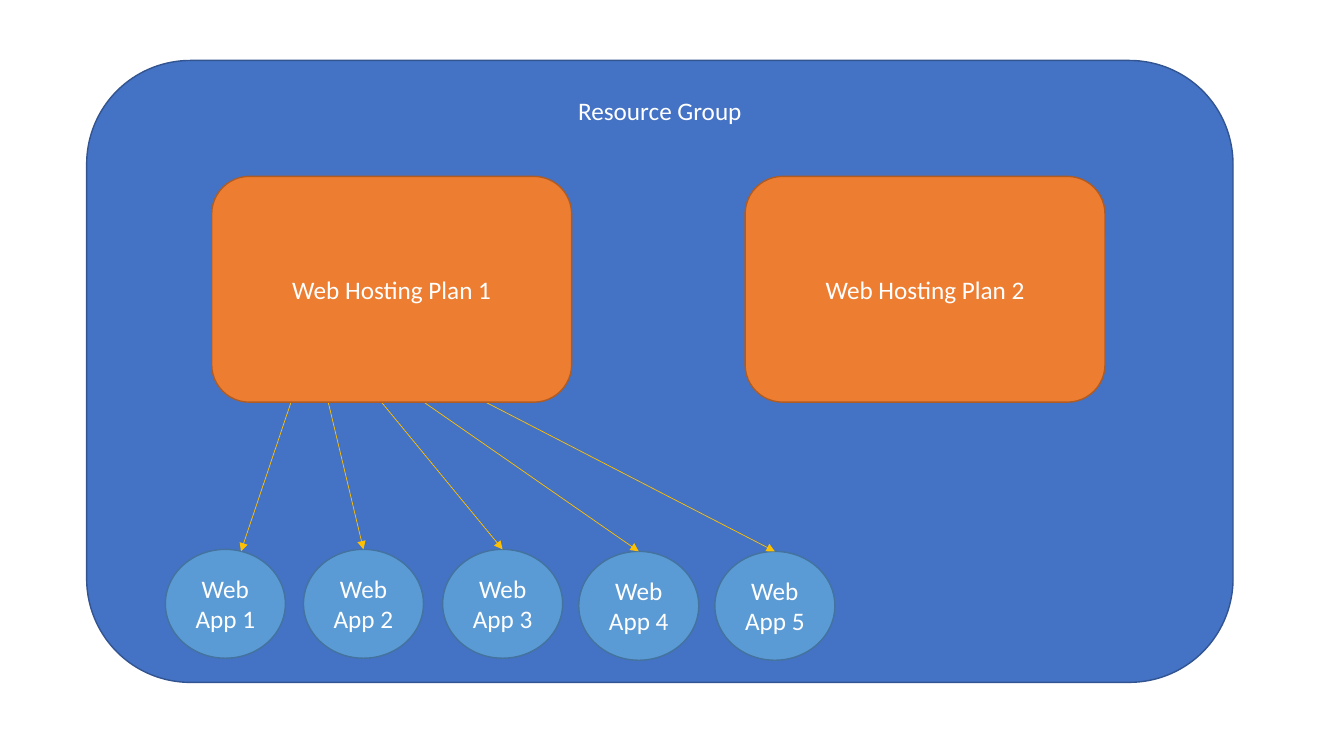
from lxml.etree import SubElement
from pptx import Presentation
from pptx.dml.color import RGBColor
from pptx.enum.shapes import MSO_CONNECTOR, MSO_SHAPE
from pptx.enum.text import MSO_ANCHOR, PP_ALIGN
from pptx.oxml.ns import qn
from pptx.util import Inches, Pt

WHITE = RGBColor(0xFF, 0xFF, 0xFF)
BLUE, BLUE_EDGE = RGBColor(0x44, 0x72, 0xC4), RGBColor(0x32, 0x54, 0x91)
ORANGE, ORANGE_EDGE = RGBColor(0xED, 0x7D, 0x31), RGBColor(0xAF, 0x5C, 0x24)
SKY, SKY_EDGE = RGBColor(0x5B, 0x9B, 0xD5), RGBColor(0x43, 0x73, 0x9E)
GOLD = RGBColor(0xFF, 0xC0, 0x00)

RESOURCE_GROUP = ("Resource Group", (0.86, 0.6, 11.37, 6.17))
PLAN_1 = ("Web Hosting Plan 1", 2.1)
PLAN_2 = ("Web Hosting Plan 2", 7.39)
PLAN_TOP, PLAN_WIDTH, PLAN_HEIGHT = 1.75, 3.57, 2.24

APP_WIDTH, APP_HEIGHT = 1.19, 1.08
# name, left, top, start of its arrow behind plan 1
WEB_APPS = [
    ("Web App 1", 1.64, 5.45, (2.95, 3.8)),
    ("Web App 2", 3.01, 5.45, (3.21, 3.8)),
    ("Web App 3", 4.39, 5.45, (3.57, 3.73)),
    ("Web App 4", 5.74, 5.47, (3.83, 3.73)),
    ("Web App 5", 7.09, 5.47, (4.41, 3.78)),
]
APP_1_ARROW_END = (2.39, 5.47)  # the first arrow lands right of the centre


def add_node(kind, label, box, fill, edge, anchor=MSO_ANCHOR.MIDDLE):
    """Add a filled, outlined shape with a centred white label."""
    node = slide.shapes.add_shape(kind, *map(Inches, box))
    node.shadow.inherit = False
    node.fill.solid()
    node.fill.fore_color.rgb = fill
    node.line.color.rgb = edge
    node.line.width = Pt(1)
    frame = node.text_frame
    frame.word_wrap = True
    frame.vertical_anchor = anchor
    frame.text = label
    paragraph = frame.paragraphs[0]
    paragraph.alignment = PP_ALIGN.CENTER
    font = paragraph.runs[0].font
    font.name, font.size, font.color.rgb = "Calibri", Pt(18), WHITE


def add_plan(plan):
    """Add a hosting plan at its left edge."""
    label, left = plan
    add_node(MSO_SHAPE.ROUNDED_RECTANGLE, label,
             (left, PLAN_TOP, PLAN_WIDTH, PLAN_HEIGHT), ORANGE, ORANGE_EDGE)


def add_arrow(start, end):
    """Add a thin gold arrow from start to end."""
    arrow = slide.shapes.add_connector(
        MSO_CONNECTOR.STRAIGHT, *map(Inches, start + end))
    arrow.line.color.rgb = GOLD
    arrow.line.width = Pt(0.5)
    SubElement(arrow.line._get_or_add_ln(), qn("a:tailEnd"), type="triangle")
    SubElement(arrow._element.spPr, qn("a:effectLst"))


prs = Presentation()
prs.slide_width, prs.slide_height = Inches(13.33), Inches(7.5)
slide = prs.slides.add_slide(prs.slide_layouts[6])

add_node(MSO_SHAPE.ROUNDED_RECTANGLE, *RESOURCE_GROUP, BLUE, BLUE_EDGE,
         MSO_ANCHOR.TOP)
add_plan(PLAN_2)
for name, left, top, _ in WEB_APPS:
    add_node(MSO_SHAPE.OVAL, name, (left, top, APP_WIDTH, APP_HEIGHT),
             SKY, SKY_EDGE)
for index, (_, left, top, start) in enumerate(WEB_APPS):
    top_centre = (left + APP_WIDTH / 2, top)
    add_arrow(start, top_centre if index else APP_1_ARROW_END)
add_plan(PLAN_1)  # last, so that it covers the arrow starts

prs.save("out.pptx")
